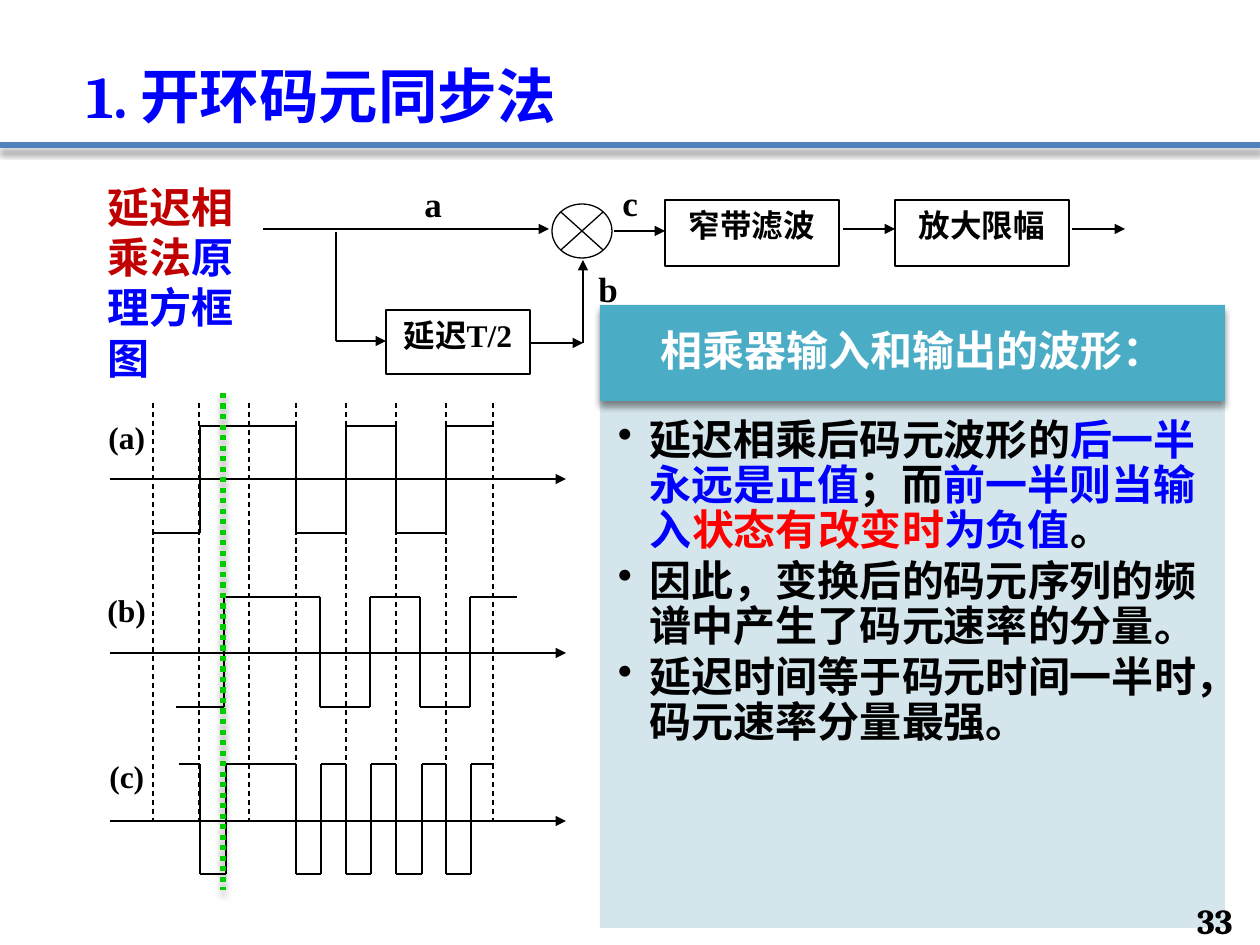
from pptx import Presentation
from pptx.dml.color import RGBColor
from pptx.enum.dml import MSO_LINE
from pptx.enum.shapes import MSO_CONNECTOR, MSO_SHAPE
from pptx.enum.text import MSO_ANCHOR, PP_ALIGN
from pptx.oxml.ns import qn
from pptx.util import Pt
from lxml import etree

EMU_PER_PX = 914400 / 126
STRAIGHT = MSO_CONNECTOR.STRAIGHT
RECT, MIXER = MSO_SHAPE.RECTANGLE, MSO_SHAPE.FLOWCHART_SUMMING_JUNCTION
DASH, DOT = MSO_LINE.DASH, MSO_LINE.ROUND_DOT
TOP, MIDDLE, BOTTOM = MSO_ANCHOR.TOP, MSO_ANCHOR.MIDDLE, MSO_ANCHOR.BOTTOM
LEFT, CENTER, RIGHT = PP_ALIGN.LEFT, PP_ALIGN.CENTER, PP_ALIGN.RIGHT
SERIF, SANS, TITLE = "Times New Roman", "Arial", "Cambria"
COLORS = {
    "black": "000000", "white": "FFFFFF", "blue": "0000FF", "red": "FF0000",
    "dark_red": "C00000", "rule": "4F81BD", "teal": "4BACC6",
    "pale": "D0E3EA", "green": "00CC00",
}
BULLETS = [
    [("延迟相乘后码元波形的", "black"), ("后一半永远是正值", "blue"),
     ("；而", "black"), ("前一半则当输入", "blue"),
     ("状态有改变时", "red"), ("为负值", "blue"), ("。", "black")],
    [("因此，变换后的码元序列的频谱中产生了码元速率的分量。", "black")],
    [("延迟时间等于码元时间一半时，码元速率分量最强。", "black")],
]
SYMBOL_EDGES = [153, 199, 249, 296, 346, 396, 446, 493]
WAVES = [
    ("(a)", 96, 412, 479, 426, 533, False, [153, 200, 296, 346, 396, 446, 494]),
    ("(b)", 95, 585, 653, 597, 707, False, [176, 224, 320, 370, 420, 470, 517]),
    ("(c)", 97, 751, 821, 764, 874, True,
     [179, 200, 226, 296, 321, 346, 371, 396, 422, 446, 471, 494]),
]
BLOCKS = [("延迟T/2", 386, 310, 144, 64), ("放大限幅", 895, 200, 174, 66),
          ("窄带滤波", 665, 200, 174, 66)]
SIGNALS = [("a", 412, 176), ("b", 586, 261), ("c", 610, 175)]
ARROWS = [(530, 343, 583, 343), (336, 341, 386, 341), (263, 229, 549, 229),
          (583, 343, 583, 260), (614, 231, 665, 231), (843, 229, 895, 229),
          (1072, 229, 1125, 229)]


def px(*values):
    """Turn pixel lengths into EMU."""
    return [round(v * EMU_PER_PX) for v in values]


def rgb(name):
    """Look up a named colour."""
    return RGBColor.from_string(COLORS[name])


def set_shadow(s, shown):
    """Give an object a soft drop shadow or none."""
    effects = etree.SubElement(s._element.spPr, qn("a:effectLst"))
    if shown:
        shadow = etree.SubElement(effects, qn("a:outerShdw"), blurRad=str(Pt(4)),
                                  dist=str(Pt(3)), dir="5400000", rotWithShape="0")
        color = etree.SubElement(shadow, qn("a:srgbClr"), val=COLORS["black"])
        etree.SubElement(color, qn("a:alpha"), val="43000")


def add_line(slide, ends, color="black", width=0.75, dash=None, arrow=False,
             shadow=False):
    """Draw a straight line, optionally dashed, arrowed or shadowed."""
    s = slide.shapes.add_connector(STRAIGHT, *px(*ends))
    s.line.color.rgb = rgb(color)
    s.line.width = Pt(width)
    if dash:
        s.line.dash_style = dash
    if arrow:
        etree.SubElement(s.line._get_or_add_ln(), qn("a:tailEnd"), type="triangle")
    set_shadow(s, shadow)


def add_shape(slide, kind, box, fill, outlined=True, shadow=False):
    """Draw a filled preset shape."""
    s = slide.shapes.add_shape(kind, *px(*box))
    s.fill.solid()
    s.fill.fore_color.rgb = rgb(fill)
    if outlined:
        s.line.color.rgb = rgb("black")
        s.line.width = Pt(0.75)
    else:
        s.line.fill.background()
    set_shadow(s, shadow)
    return s


def set_frame(s, anchor=TOP, insets=None):
    """Prepare the text frame of a shape and return it."""
    tf = s.text_frame
    tf.word_wrap = True
    tf.vertical_anchor = anchor
    if insets:
        tf.margin_left, tf.margin_top, tf.margin_right, tf.margin_bottom = px(*insets)
    return tf


def add_runs(p, runs, size, font, align=LEFT, spacing=None):
    """Fill a paragraph with bold coloured runs."""
    p.alignment = align
    if spacing:
        p.line_spacing = spacing
    for text, color in runs:
        r = p.add_run()
        r.text = text
        r.font.size = Pt(size)
        r.font.name = font
        r.font.bold = True
        r.font.color.rgb = rgb(color)


def add_text(slide, box, runs, size, font, align=LEFT, anchor=TOP, spacing=None):
    """Place a one-paragraph text box."""
    tf = set_frame(slide.shapes.add_textbox(*px(*box)), anchor)
    add_runs(tf.paragraphs[0], runs, size, font, align, spacing)


def add_panel(slide):
    """Build the headed panel with the bulleted conclusions."""
    body = add_shape(slide, RECT, (600, 401, 625, 527), "pale", outlined=False)
    color = body._element.spPr.find(qn("a:solidFill"))[0]
    etree.SubElement(color, qn("a:alpha"), val="90000")
    head = add_shape(slide, RECT, (600, 305, 625, 96), "teal", False, True)
    tf = set_frame(head, MIDDLE, (24, 14, 24, 14))
    add_runs(tf.paragraphs[0], [("相乘器输入和输出的波形：", "white")], 24, SANS,
             CENTER, 0.9)
    tf = set_frame(body, TOP, (18, 18, 24, 26))
    indent = px(32)[0]
    for i, runs in enumerate(BULLETS):
        p = tf.add_paragraph() if i else tf.paragraphs[0]
        pPr = p._p.get_or_add_pPr()
        pPr.set("marL", str(indent))
        pPr.set("indent", str(-indent))
        etree.SubElement(pPr, qn("a:buChar"), char="•")
        p.space_after = Pt(3)
        add_runs(p, runs, 24, SANS, LEFT, 0.9)


def add_block_diagram(slide):
    """Draw the delay-and-multiply block diagram."""
    for text, *box in BLOCKS:
        tf = set_frame(add_shape(slide, RECT, box, "white"))
        add_runs(tf.paragraphs[0], [(text, "black")], 18, SERIF, CENTER)
    add_shape(slide, MIXER, (552, 204, 60, 54), "white")
    add_line(slide, (336, 232, 336, 341))
    for ends in ARROWS:
        add_line(slide, ends, arrow=True)
    for text, x, y in SIGNALS:
        add_text(slide, (x, y, 53, 55), [(text, "black")], 20, SERIF)


def add_wave(slide, high, low, is_high, edges):
    """Trace a square wave that changes level at each inner edge."""
    for i, (x1, x2) in enumerate(zip(edges, edges[1:])):
        if i:
            add_line(slide, (x1, low, x1, high), width=1)
        y = high if is_high else low
        add_line(slide, (x1, y, x2, y), width=1)
        is_high = not is_high


def add_timing_chart(slide):
    """Draw the three waveforms with their axes and symbol edges."""
    for x in SYMBOL_EDGES:
        add_line(slide, (x, 403, x, 821), dash=DASH)
    for text, x, y, axis, high, low, is_high, edges in WAVES:
        add_wave(slide, high, low, is_high, edges)
        add_line(slide, (110, axis, 566, axis), arrow=True)
        add_text(slide, (x, y, 64, 58), [(text, "black")], 18, SERIF)


def main():
    """Build the slide and save it."""
    prs = Presentation()
    prs.slide_width, prs.slide_height = px(1260, 945)
    slide = prs.slides.add_slide(prs.slide_layouts[6])
    add_line(slide, (0, 145, 1260, 145), "rule", 3, shadow=True)
    add_text(slide, (74, 26, 1111, 112), [("1. 开环码元同步法", "blue")], 34, TITLE,
             LEFT, BOTTOM, 0.9)
    add_panel(slide)
    add_text(slide, (1158, 903, 87, 35), [("33", "black")], 20, TITLE, RIGHT, MIDDLE)
    add_block_diagram(slide)
    add_timing_chart(slide)
    add_text(slide, (95, 175, 179, 217),
             [("延迟相乘法", "dark_red"), ("原理方框图", "blue")], 24, SANS)
    add_line(slide, (223, 393, 223, 890), "green", 3, DOT, shadow=True)
    prs.save("out.pptx")


if __name__ == "__main__":
    main()
